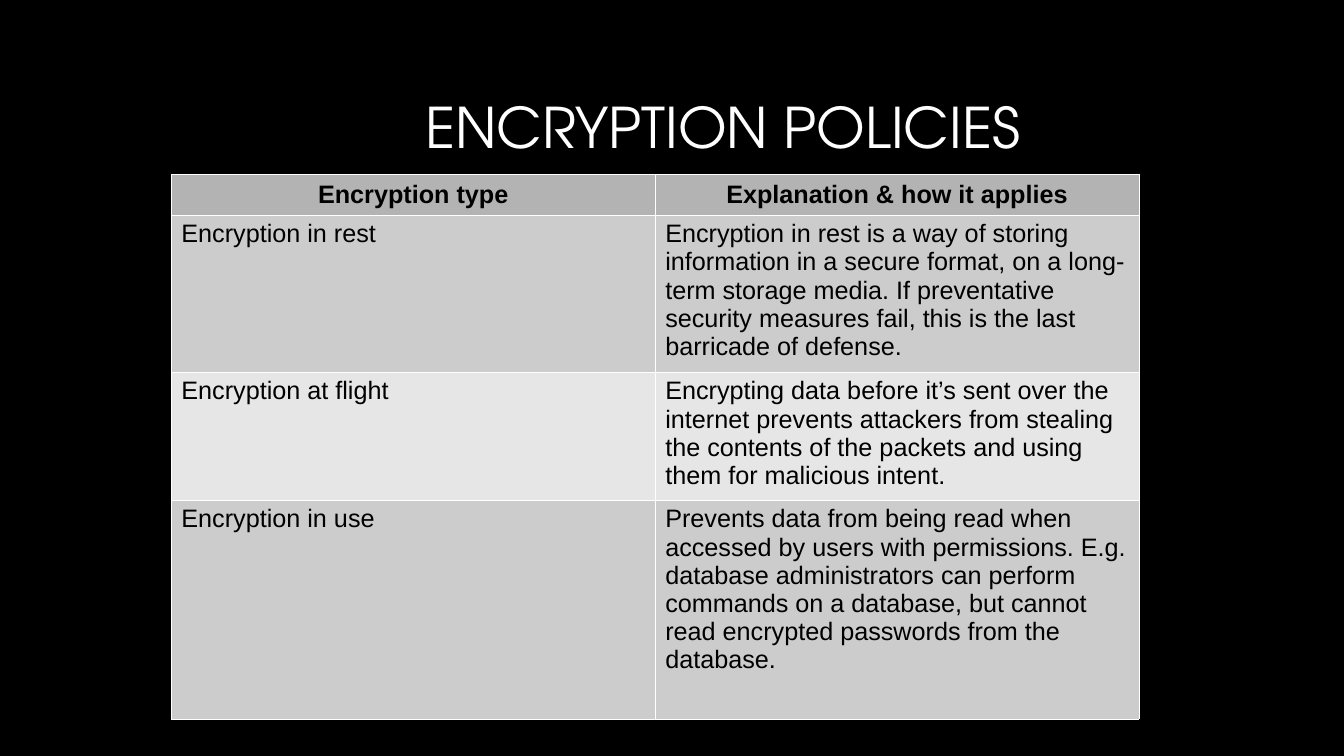
from dataclasses import dataclass

from lxml import etree
from pptx import Presentation
from pptx.dml.color import RGBColor
from pptx.enum import text
from pptx.oxml.ns import qn
from pptx.util import Pt

TITLE = "ENCRYPTION POLICIES"
HEADER = ("Encryption type", "Explanation & how it applies")
POLICIES = [
    ("Encryption in rest",
     "Encryption in rest is a way of storing information in a secure format, "
     "on a long-term storage media. If preventative security measures fail, "
     "this is the last barricade of defense."),
    ("Encryption at flight",
     "Encrypting data before it’s sent over the internet prevents attackers "
     "from stealing the contents of the packets and using them for malicious intent."),
    ("Encryption in use",
     "Prevents data from being read when accessed by users with permissions. "
     "E.g. database administrators can perform commands on a database, but "
     "cannot read encrypted passwords from the database."),
]
ROW_HEIGHTS = (28.8, 112.3, 91.4, 156.2)
COLUMN_WIDTH = 345.6


@dataclass(frozen=True)
class Theme:
    background: str = "000000"
    title_color: str = "FFFFFF"
    body_color: str = "000000"
    header_fill: str = "B3B3B3"
    band_fills: tuple = ("CCCCCC", "E6E6E6")
    border_color: str = "FFFFFF"
    border_width: float = 0.06
    title_font: str = "TeX Gyre Adventor"
    body_font: str = "Arial"
    title_size: int = 40
    body_size: int = 18


THEME = Theme()


def write_text(frame, content, *, font, size, color, bold=False,
               align=text.PP_ALIGN.LEFT, anchor=text.MSO_ANCHOR.TOP, spacing=1.0):
    frame.word_wrap = True
    frame.vertical_anchor = anchor
    paragraph = frame.paragraphs[0]
    paragraph.alignment = align
    paragraph.line_spacing = spacing
    run = paragraph.add_run()
    run.text = content
    run.font.name = font
    run.font.size = Pt(size)
    run.font.bold = bold
    run.font.color.rgb = RGBColor.from_string(color)


def set_borders(cell):
    """Draw a thin line on all four sides; lines must precede the cell fill."""
    properties = cell._tc.get_or_add_tcPr()
    for position, side in enumerate(("lnL", "lnR", "lnT", "lnB")):
        line = etree.Element(qn(f"a:{side}"), w=str(int(Pt(THEME.border_width))))
        fill = etree.SubElement(line, qn("a:solidFill"))
        etree.SubElement(fill, qn("a:srgbClr"), val=THEME.border_color)
        properties.insert(position, line)


def add_title(slide):
    title = slide.shapes.title
    title.left, title.top, title.width, title.height = map(Pt, (57.6, 42.5, 678.2, 101.5))
    write_text(title.text_frame, TITLE, font=THEME.title_font, size=THEME.title_size,
               color=THEME.title_color, align=text.PP_ALIGN.RIGHT,
               anchor=text.MSO_ANCHOR.MIDDLE, spacing=0.9)


def add_policy_table(slide):
    rows = [HEADER, *POLICIES]
    table = slide.shapes.add_table(
        len(rows), len(HEADER), Pt(122.4), Pt(124.6),
        Pt(COLUMN_WIDTH * len(HEADER)), Pt(sum(ROW_HEIGHTS))).table
    for column in table.columns:
        column.width = Pt(COLUMN_WIDTH)
    for row_index, (row, height) in enumerate(zip(rows, ROW_HEIGHTS)):
        table.rows[row_index].height = Pt(height)
        is_header = row_index == 0
        fill = THEME.header_fill if is_header else THEME.band_fills[(row_index - 1) % 2]
        for column_index, content in enumerate(row):
            cell = table.cell(row_index, column_index)
            cell.fill.solid()
            cell.fill.fore_color.rgb = RGBColor.from_string(fill)
            set_borders(cell)
            write_text(cell.text_frame, content, font=THEME.body_font,
                       size=THEME.body_size, color=THEME.body_color, bold=is_header,
                       align=text.PP_ALIGN.CENTER if is_header else text.PP_ALIGN.LEFT)
            cell.vertical_anchor = (text.MSO_ANCHOR.MIDDLE if is_header
                                    else text.MSO_ANCHOR.TOP)


def main():
    presentation = Presentation()
    presentation.slide_width, presentation.slide_height = Pt(960), Pt(540)
    slide = presentation.slides.add_slide(presentation.slide_layouts[5])
    slide.background.fill.solid()
    slide.background.fill.fore_color.rgb = RGBColor.from_string(THEME.background)
    add_title(slide)
    add_policy_table(slide)
    presentation.save("out.pptx")


if __name__ == "__main__":
    main()
